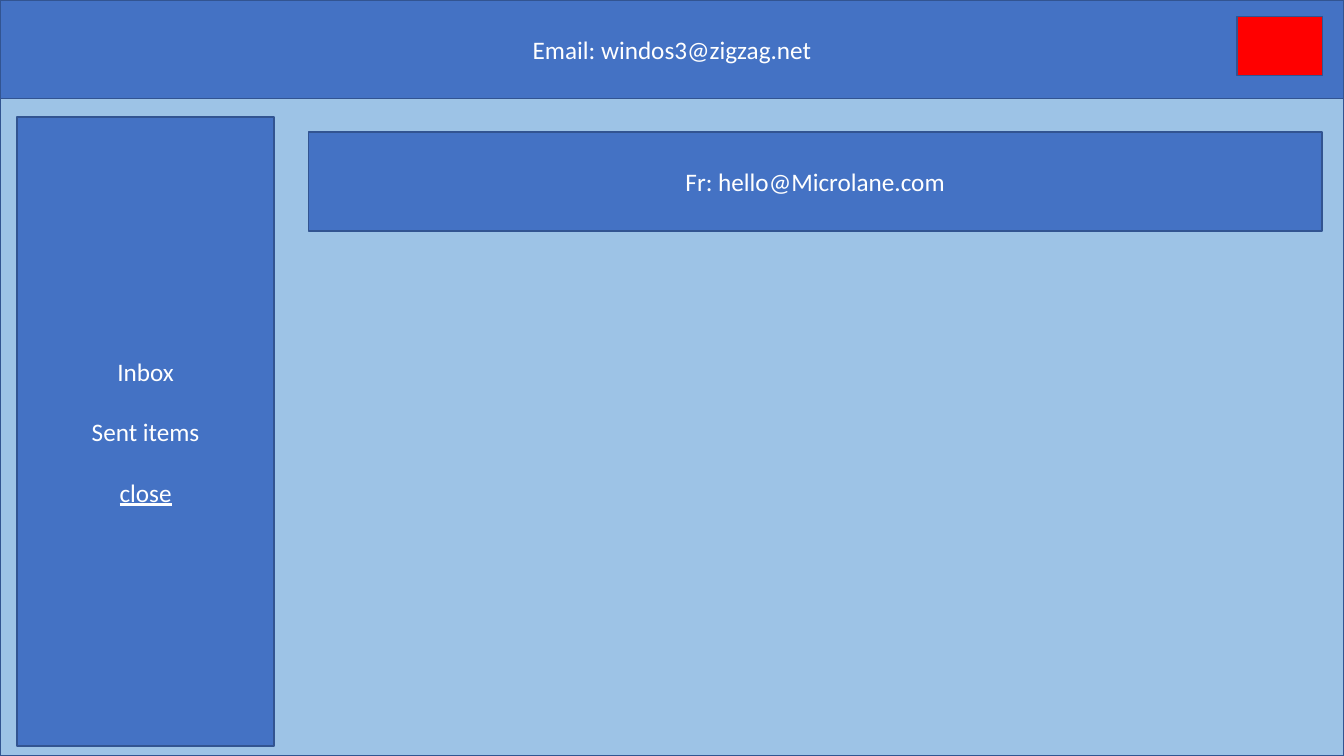
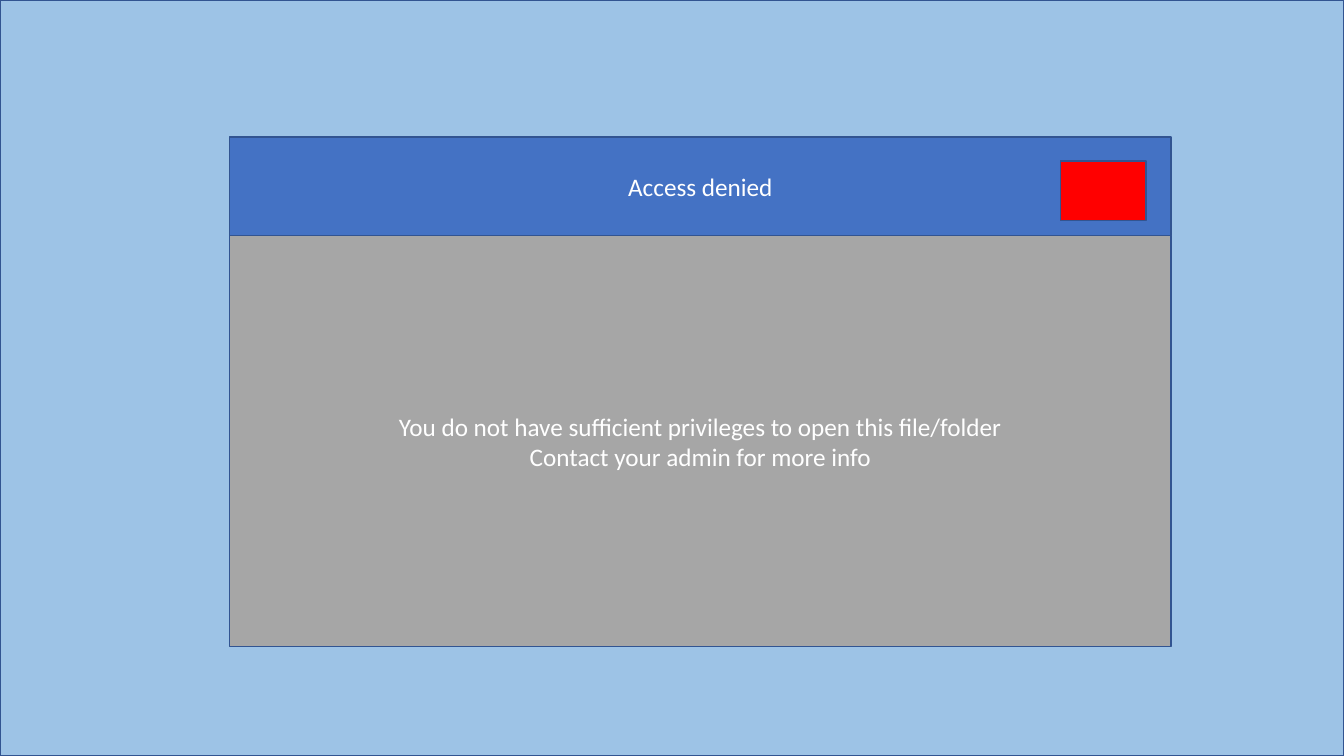
from pptx import Presentation
from pptx.dml.color import RGBColor as Rgb
from pptx.enum.shapes import MSO_SHAPE as Shape
from pptx.enum.text import MSO_ANCHOR as Anchor, MSO_AUTO_SIZE as Auto, PP_ALIGN as Align
from pptx.util import Cm, Pt

WIDE, HIGH = 33.87, 19.05
BAR = 2.49
HUES = {
    "sky": "9DC3E6",
    "blue": "4472C4",
    "edge": "325491",
    "red": "FF0000",
    "gray": "A6A6A6",
    "text": "FFFFFF",
}


def hue(name):
    return Rgb.from_string(HUES[name])


def style(shape, fill, text="", gap=0):
    """Fill and outline a shape and centre its text, with gap points between lines."""
    shape.fill.solid()
    shape.fill.fore_color.rgb = hue(fill)
    shape.line.color.rgb = hue("edge")
    shape.line.width = Pt(1)
    if not text:
        return
    frame = shape.text_frame
    frame.text = text
    frame.word_wrap = True
    frame.auto_size = Auto.NONE
    frame.vertical_anchor = Anchor.MIDDLE
    for i, para in enumerate(frame.paragraphs):
        para.alignment = Align.CENTER
        para.space_before = Pt(gap if i else 0)
        for run in para.runs:
            run.font.name = "Calibri"
            run.font.size = Pt(18)
            run.font.color.rgb = hue("text")


def panel(slide, box, fill, text="", gap=0):
    shape = slide.shapes.add_shape(Shape.RECTANGLE, *map(Cm, box))
    shape.shadow.inherit = False
    style(shape, fill, text, gap)
    return shape


def start(deck):
    """Add a title-only slide with the backdrop behind its title."""
    slide = deck.slides.add_slide(deck.slide_layouts[5])
    back = panel(slide, (0, 0, WIDE, HIGH), "sky")
    slide.shapes.title.element.addprevious(back.element)
    return slide


def title_bar(slide, box, text, inset, drop):
    """Place the title as a window bar, its red button inset from the right."""
    left, top, width, height = box
    title = slide.shapes.title
    title.left, title.top, title.width, title.height = map(Cm, box)
    style(title, "blue", text)
    size = 2.16
    panel(slide, (left + width - inset - size, top + drop, size, 1.5), "red")


def side_menu(slide, box):
    menu = panel(slide, box, "blue", "Inbox\nSent items\nclose", 21.6)
    menu.text_frame.paragraphs[-1].runs[0].font.underline = True


def mail_slide(deck):
    slide = start(deck)
    title_bar(slide, (0, 0, WIDE, BAR), "Email: windos3@zigzag.net", 0.54, 0.41)
    side_menu(slide, (0.43, 2.95, 6.48, 15.85))
    panel(slide, (7.77, 3.33, 25.55, BAR), "blue", "Fr: hello@Microlane.com")


def alert_slide(deck, box):
    left, top, width, height = box
    slide = start(deck)
    panel(slide, (left, top + BAR, width, height - BAR), "gray",
          "You do not have sufficient privileges to open this file/folder\n"
          "Contact your admin for more info")
    title_bar(slide, (left, top, width, BAR), "Access denied", 0.63, 0.61)


def main():
    deck = Presentation()
    deck.slide_width, deck.slide_height = Cm(WIDE), Cm(HIGH)
    mail_slide(deck)
    alert_slide(deck, (5.79, 3.45, 23.72, 12.85))
    deck.save("out.pptx")


if __name__ == "__main__":
    main()
